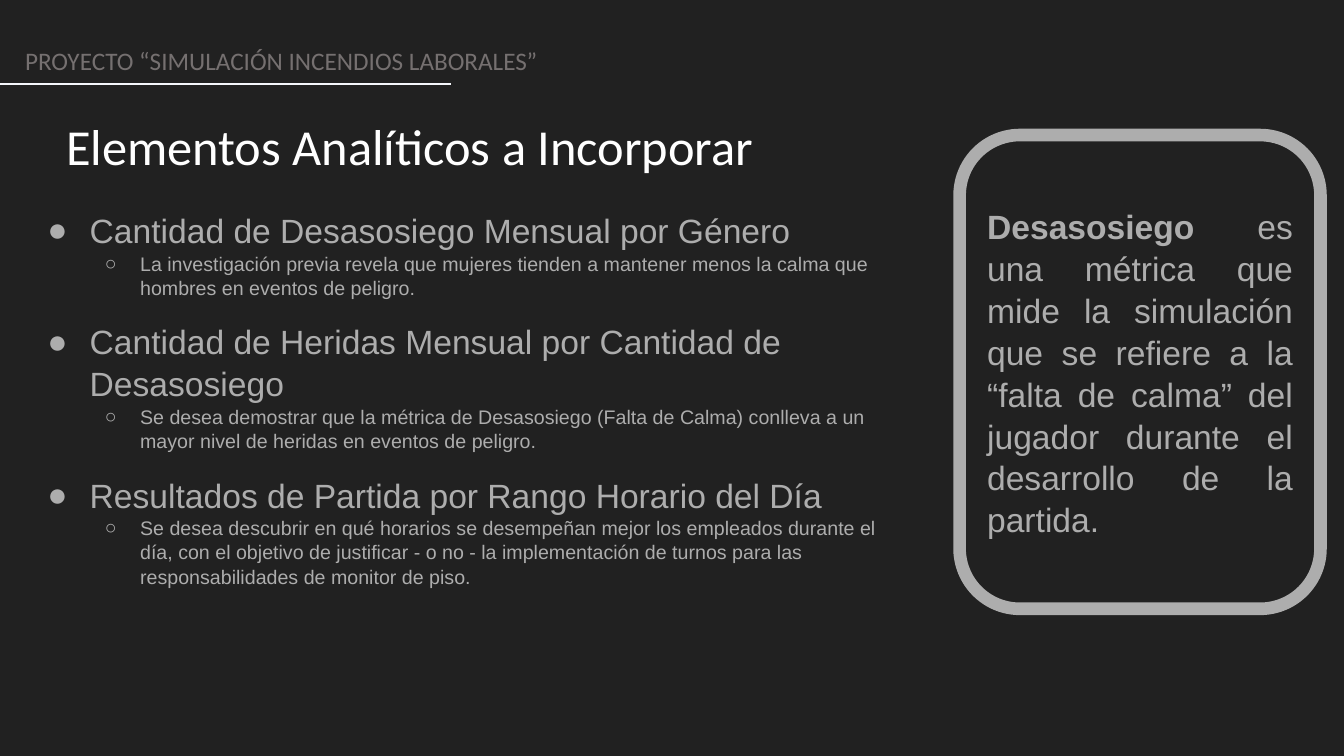
from lxml import etree
from pptx import Presentation
from pptx import util as u
from pptx.dml.color import RGBColor
from pptx.enum import shapes, text
from pptx.oxml import ns

GRAY = "ADADAD"


def paint(color_format, color):
    color_format.rgb = RGBColor.from_string(color)


def add_run(paragraph, words, color, **font_values):
    run = paragraph.add_run()
    run.text = words
    for name, value in font_values.items():
        setattr(run.font, name, value)
    paint(run.font.color, color)


presentation = Presentation()
presentation.slide_width = u.Pt(960)
presentation.slide_height = u.Pt(540)
slide = presentation.slides.add_slide(presentation.slide_layouts[1])
slide.background.fill.solid()
paint(slide.background.fill.fore_color, "212121")

title, body = slide.placeholders
project = slide.shapes.add_textbox(0, 0, 0, 0)
definition = slide.shapes.add_shape(shapes.MSO_SHAPE.ROUNDED_RECTANGLE, 0, 0, 0, 0)
layout = [
    (project, (10.8, 28.8, 960, 28.8), 3.6, text.MSO_ANCHOR.TOP),
    (title, (26.64, 78.48, 532, 51), 3.6, text.MSO_ANCHOR.TOP),
    (body, (20.88, 141.84, 617.76, 318.24), 7.2, text.MSO_ANCHOR.TOP),
    (definition, (685.44, 96.48, 257.76, 338.4), 7.2, text.MSO_ANCHOR.MIDDLE),
]
for shape, box, vertical_margin, anchor in layout:
    for name, value in zip(("left", "top", "width", "height"), box):
        setattr(shape, name, u.Pt(value))
    frame_format = {
        "word_wrap": True,
        "auto_size": text.MSO_AUTO_SIZE.NONE,
        "vertical_anchor": anchor,
        "margin_left": u.Pt(7.2),
        "margin_right": u.Pt(7.2),
        "margin_top": u.Pt(vertical_margin),
        "margin_bottom": u.Pt(vertical_margin),
    }
    for name, value in frame_format.items():
        setattr(shape.text_frame, name, value)

add_run(project.text_frame.paragraphs[0], "PROYECTO “SIMULACIÓN INCENDIOS LABORALES”",
        "757070", size=u.Pt(18), name="Calibri")

heading = title.text_frame.paragraphs[0]
heading.alignment = text.PP_ALIGN.CENTER
add_run(heading, "Elementos Analíticos a Incorporar", "FFFFFF", size=u.Pt(36), name="Calibri")

rule = slide.shapes.add_connector(
    shapes.MSO_CONNECTOR.STRAIGHT, u.Pt(0), u.Pt(59.76), u.Pt(321.84), u.Pt(59.76))
paint(rule.line.color, "F5F7FC")
rule.line.width = u.Pt(1.25)
etree.SubElement(rule._element.spPr, ns.qn("a:effectLst"))

elements = [
    ("Cantidad de Desasosiego Mensual por Género",
     "La investigación previa revela que mujeres tienden a mantener menos la calma que hombres en eventos de peligro."),
    ("Cantidad de Heridas Mensual por Cantidad de Desasosiego",
     "Se desea demostrar que la métrica de Desasosiego (Falta de Calma) conlleva a un mayor nivel de heridas en eventos de peligro."),
    ("Resultados de Partida por Rango Horario del Día",
     "Se desea descubrir en qué horarios se desempeñan mejor los empleados durante el día, con el objetivo de justificar - o no - la implementación de turnos para las responsabilidades de monitor de piso."),
]
levels = [("●", 24, 36, -30.24, 14.5), ("○", 14, 72, -25.2, 0)]
paragraph = body.text_frame.paragraphs[0]
for index, element in enumerate(elements):
    for level, words in enumerate(element):
        bullet, size, margin, indent, gap = levels[level]
        if index or level:
            paragraph = body.text_frame.add_paragraph()
        paragraph_format = {
            "level": level,
            "alignment": text.PP_ALIGN.LEFT,
            "line_spacing": 1.04,
            "space_before": u.Pt(gap if index else 0),
            "space_after": u.Pt(0),
        }
        for name, value in paragraph_format.items():
            setattr(paragraph, name, value)
        properties = paragraph._p.get_or_add_pPr()
        properties.set("marL", str(u.Pt(margin)))
        properties.set("indent", str(u.Pt(indent)))
        bullet_color = etree.SubElement(properties, ns.qn("a:buClr"))
        etree.SubElement(bullet_color, ns.qn("a:srgbClr"), val=GRAY)
        etree.SubElement(properties, ns.qn("a:buFont"), typeface="Arial")
        etree.SubElement(properties, ns.qn("a:buChar"), char=bullet)
        add_run(paragraph, words, GRAY, size=u.Pt(size), name="Arial")

definition.shadow.inherit = False
definition.adjustments[0] = 0.167
definition.fill.background()
paint(definition.line.color, GRAY)
definition.line.width = u.Pt(9)
paragraph = definition.text_frame.paragraphs[0]
paragraph.alignment = text.PP_ALIGN.JUSTIFY
paragraph.line_spacing = 1.04
add_run(paragraph, "Desasosiego", GRAY, size=u.Pt(24), name="Arial", bold=True)
add_run(paragraph, " es una métrica que mide la simulación que se refiere a la “falta de calma” del jugador durante el desarrollo de la partida.",
        GRAY, size=u.Pt(24), name="Arial", bold=False)

presentation.save("out.pptx")
